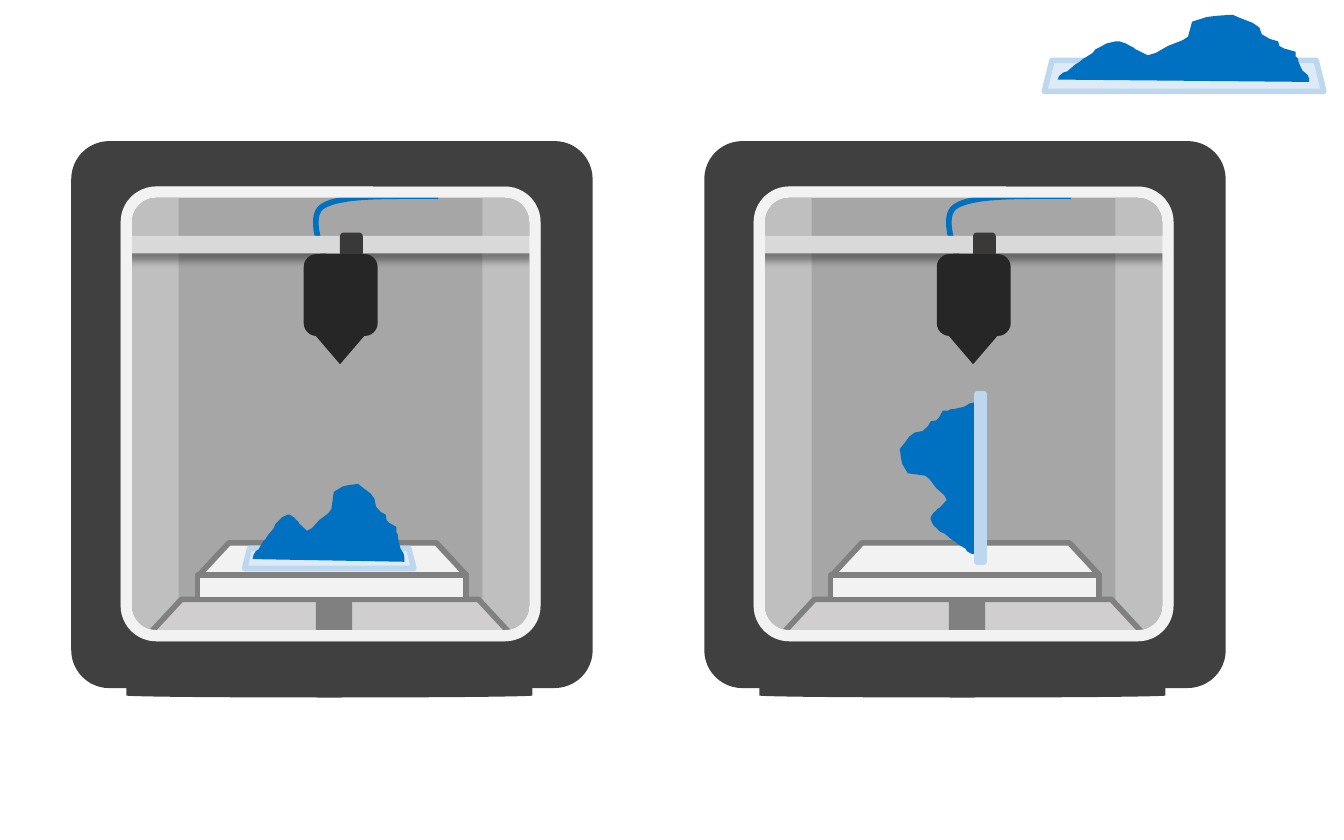
from lxml import etree
from pptx import Presentation
from pptx.dml.color import RGBColor
from pptx.enum.shapes import MSO_SHAPE as Kind
from pptx.oxml.ns import qn
from pptx.util import Inches, Pt

TERRAIN_WIDTH, TERRAIN_HEIGHT = 187, 58
TERRAIN = [
    (0, 56), (1, 53), (3, 51), (4, 50), (7, 49), (8, 48), (9, 47), (11, 45),
    (13, 43), (16, 41), (19, 38), (22, 36), (26, 33), (28, 30), (33, 27),
    (36, 25), (43, 23), (46, 23), (51, 25), (54, 27), (56, 28), (58, 30),
    (60, 31), (67, 35), (73, 33), (76, 31), (82, 27), (93, 22), (97, 19),
    (100, 6), (111, 2), (118, 1), (130, 0), (136, 3), (145, 7), (150, 11),
    (152, 17), (158, 21), (164, 23), (165, 27), (168, 29), (177, 32),
    (177, 36), (179, 38), (179, 40), (180, 43), (182, 48), (184, 50),
    (186, 52), (187, 55), (187, 58),
]
FILAMENT_CURVES = [
    [(2.73, 0.41), (2.37, 0.41), (2.02, 0.4), (1.88, 0.48)],
    [(1.88, 0.48), (1.74, 0.55), (1.89, 0.87), (1.89, 0.87)],
]
CURVE_STEPS = 20
BLUE, PALE_BLUE, ICE = "0070C0", "BDD7EE", "DEEBF7"
CASE, GREY, WHITE = "404040", "808080", "F2F2F2"


def color(value):
    return RGBColor.from_string(value)


def style(shape, fill=None, line=None, weight=3):
    shape.shadow.inherit = False
    if fill:
        shape.fill.solid()
        shape.fill.fore_color.rgb = color(fill)
    else:
        shape.fill.background()
    if line:
        shape.line.color.rgb = color(line)
        shape.line.width = Pt(weight)
    else:
        shape.line.fill.background()


def add_part(shapes, kind, box, fill=None, line=None, weight=3, adjust=None, rotation=0):
    shape = shapes.add_shape(kind, *map(Inches, box))
    if adjust is not None:
        shape.adjustments[0] = adjust
    shape.rotation = rotation
    style(shape, fill, line, weight)
    return shape


def add_outline(shapes, points, close):
    start, *rest = [(Inches(x), Inches(y)) for x, y in points]
    builder = shapes.build_freeform(*start)
    builder.add_line_segments(rest, close=close)
    return builder.convert_to_shape()


def bezier_point(curve, t):
    weights = ((1 - t) ** 3, 3 * t * (1 - t) ** 2, 3 * t * t * (1 - t), t ** 3)
    return tuple(sum(w * point[axis] for w, point in zip(weights, curve)) for axis in (0, 1))


def add_drop_shadow(shape):
    effects = shape._element.spPr.find(qn("a:effectLst"))
    shadow = etree.SubElement(
        effects, qn("a:outerShdw"), blurRad=str(Pt(4)), dist=str(Pt(4)),
        dir="5400000", algn="t", rotWithShape="0",
    )
    black = etree.SubElement(shadow, qn("a:srgbClr"), val="000000")
    etree.SubElement(black, qn("a:alpha"), val="36000")


def draw_terrain(shapes, left, top, width, height, rotation=0):
    points = [
        (left + x / TERRAIN_WIDTH * width, top + y / TERRAIN_HEIGHT * height)
        for x, y in TERRAIN
    ]
    shape = add_outline(shapes, points, close=True)
    shape.rotation = rotation
    style(shape, BLUE)


def draw_flat_model(slide, plate, terrain):
    group = slide.shapes.add_group_shape()
    add_part(group.shapes, Kind.TRAPEZOID, plate, ICE, PALE_BLUE)
    draw_terrain(group.shapes, *terrain)


def draw_upright_model(slide, left, top):
    draw_terrain(slide.shapes, left, top, 1.13, 0.58, rotation=270)
    add_part(slide.shapes, Kind.RECTANGLE, (left + 0.85, top - 0.34, 0.05, 1.25),
             PALE_BLUE, PALE_BLUE)


def draw_printer(slide, left, top):
    def part(kind, x, y, width, height, *colors, **options):
        return add_part(slide.shapes, kind, (left + x, top + y, width, height), *colors, **options)

    window = (0.41, 0.38, 3.04, 3.3)
    part(Kind.CAN, 0.41, 4.02, 3.02, 0.12, CASE)
    part(Kind.ROUNDED_RECTANGLE, 0, 0, 3.88, 4.07, CASE, adjust=0.073)
    part(Kind.ROUNDED_RECTANGLE, *window, "BFBFBF", GREY, weight=6, adjust=0.073)
    part(Kind.RECTANGLE, 0.8, 0.38, 2.26, 3.07, "A6A6A6")
    part(Kind.TRAPEZOID, 0.56, 3.41, 2.73, 0.28, "D0CECE", GREY, adjust=0.927)
    part(Kind.ROUNDED_RECTANGLE, 1.82, 3.37, 0.27, 0.31, GREY)
    part(Kind.TRAPEZOID, 0.95, 2.99, 1.99, 0.24, WHITE, GREY, adjust=0.927)
    part(Kind.RECTANGLE, 0.94, 3.23, 2, 0.18, WHITE, GREY)

    curve_points = [
        bezier_point(curve, step / CURVE_STEPS)
        for curve in FILAMENT_CURVES for step in range(CURVE_STEPS + 1)
    ]
    filament = add_outline(slide.shapes, [(left + x, top + y) for x, y in curve_points], close=False)
    style(filament, line=BLUE)

    rail = part(Kind.CAN, 1.86, -0.74, 0.13, 3.02, "D9D9D9", adjust=0.162, rotation=90)
    add_drop_shadow(rail)
    part(Kind.ROUNDED_RECTANGLE, *window, None, WHITE, weight=6, adjust=0.073)
    part(Kind.ROUNDED_RECTANGLE, 2, 0.68, 0.17, 0.18, "3B3838")
    part(Kind.ROUNDED_RECTANGLE, 1.73, 0.84, 0.55, 0.61, "262626", adjust=0.174)
    part(Kind.FLOWCHART_EXTRACT, 1.82, 1.45, 0.36, 0.21, "262626", rotation=180)


def main():
    presentation = Presentation()
    presentation.slide_width = Inches(10)
    presentation.slide_height = Inches(6.25)
    slide = presentation.slides.add_slide(presentation.slide_layouts[6])

    draw_printer(slide, 0.53, 1.05)
    draw_flat_model(slide, (7.77, 0.45, 2.08, 0.23), (7.87, 0.11, 1.87, 0.5))
    draw_flat_model(slide, (1.82, 4.08, 1.26, 0.15), (1.88, 3.6, 1.13, 0.58))
    draw_printer(slide, 5.24, 1.05)
    draw_upright_model(slide, 6.42, 3.27)

    presentation.save("out.pptx")


if __name__ == "__main__":
    main()
